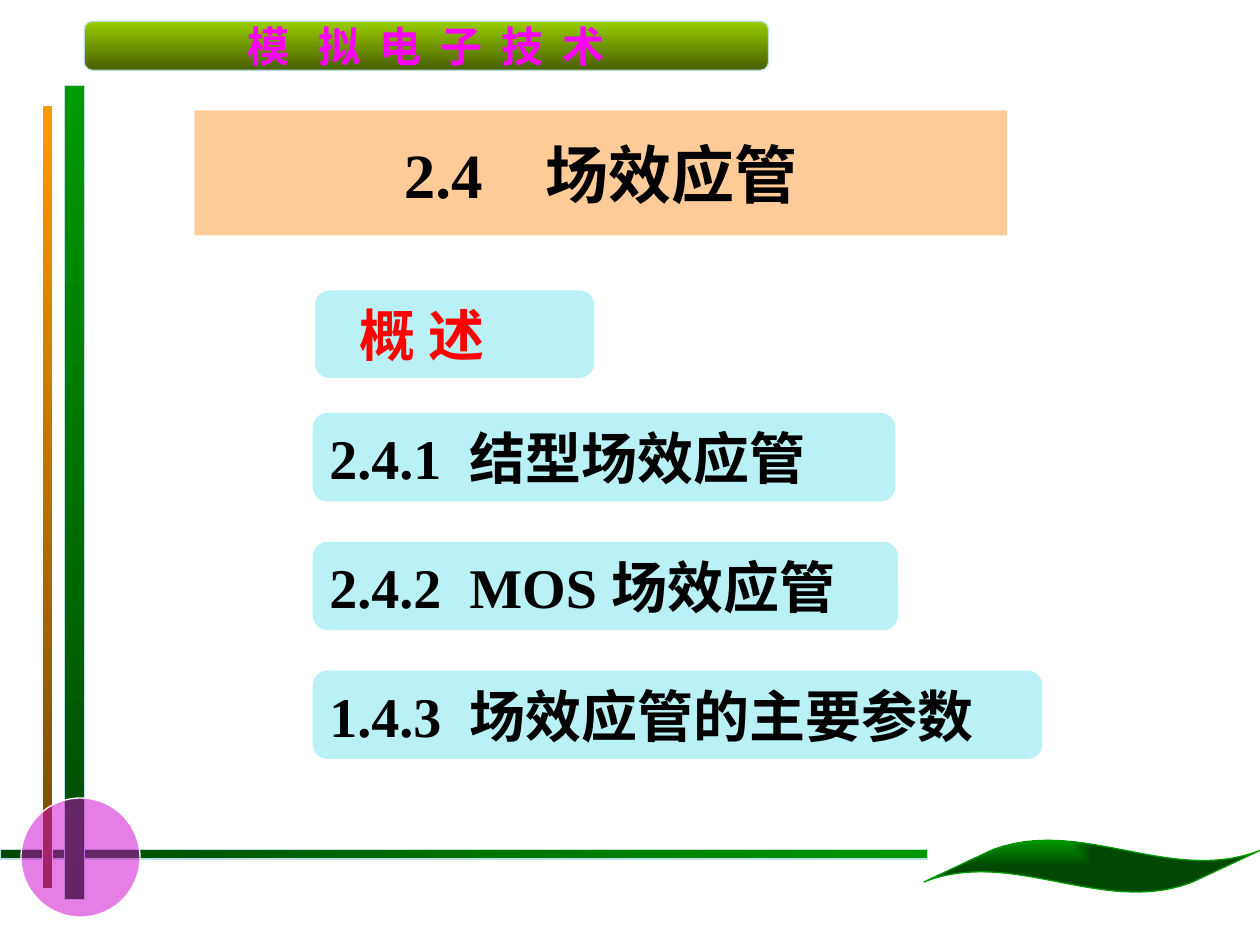
import pptx
import pptx.dml.color
import pptx.enum.shapes
import pptx.enum.text
import pptx.oxml.ns
import pptx.util
from lxml import etree

Pt = pptx.util.Pt
Kind = pptx.enum.shapes.MSO_SHAPE
Align = pptx.enum.text.PP_ALIGN
Anchor = pptx.enum.text.MSO_ANCHOR
qn = pptx.oxml.ns.qn

LATIN = "Times New Roman"
HAN = "Noto Sans CJK SC"
HEX = {
    "leaf": "009900", "forest": "004700", "amber": "FF9900", "brown": "764700",
    "lime": "99CC00", "moss": "475E00", "edge": "BBE0E3", "white": "FFFFFF",
    "plum": "CC00CC", "pink": "FF00FF", "peach": "FFCC99", "aqua": "75E5EB",
    "red": "FF0000", "black": "000000",
}


def tint(name):
    return pptx.dml.color.RGBColor.from_string(HEX[name])


def place(shape, box):
    shape.left, shape.top, shape.width, shape.height = map(Pt, box)


def add(slide, kind, box, line=None, width=0.75):
    shape = slide.shapes.add_shape(kind, *map(Pt, box))
    shape.shadow.inherit = False
    if line:
        shape.line.color.rgb = tint(line)
        shape.line.width = Pt(width)
    else:
        shape.line.fill.background()
    return shape


def flat(shape, name, alpha=100):
    """Fill with one colour at alpha percent opacity."""
    shape.fill.solid()
    shape.fill.fore_color.rgb = tint(name)
    if alpha < 100:
        node = shape.fill._xPr.find(".//" + qn("a:srgbClr"))
        etree.SubElement(node, qn("a:alpha"), val=str(alpha * 1000))


def fade(shape, first, last, angle=270):
    """Fill with a linear blend; 270 runs downward, 0 to the right."""
    shape.fill.gradient()
    shape.fill.gradient_angle = angle
    for stop, name, spot in zip(shape.fill.gradient_stops, (first, last), (0, 1)):
        stop.color.rgb = tint(name)
        stop.position = spot


def corner(shape):
    """Make the blend spread from the top left corner."""
    grad = shape._element.spPr.find(qn("a:gradFill"))
    grad.remove(grad.find(qn("a:lin")))
    glow = etree.SubElement(grad, qn("a:path"), path="rect")
    etree.SubElement(glow, qn("a:fillToRect"), r="100000", b="100000")


def write(shape, text, size, color, latin=LATIN, align=Align.LEFT, anchor=Anchor.TOP):
    frame = shape.text_frame
    frame.text = text
    frame.vertical_anchor = anchor
    para = frame.paragraphs[0]
    para.alignment = align
    run = para.runs[0]
    run.font.size = Pt(size)
    run.font.bold = True
    run.font.name = latin
    run.font.color.rgb = tint(color)
    etree.SubElement(run.font._element, qn("a:ea"), typeface=HAN)


def frame_art(slide):
    """Draw the bars, disc, banner and leaf around the content."""
    bars = [
        ((0, 485.5, 530, 5.5), "forest", "leaf", 0, "edge", 0.75),
        ((37, 49, 11.5, 465), "leaf", "forest", 270, "edge", 0.75),
        ((24, 60, 6, 448), "amber", "brown", 270, "white", 0.5),
    ]
    for box, first, last, angle, line, width in bars:
        fade(add(slide, Kind.RECTANGLE, box, line, width), first, last, angle)

    disc = add(slide, Kind.OVAL, (12, 456, 68, 68), "white")
    flat(disc, "plum", 50)

    banner = add(slide, Kind.FLOWCHART_ALTERNATE_PROCESS, (48.2, 12.2, 391, 28), "edge")
    fade(banner, "lime", "moss")
    write(banner, "模   拟  电  子  技  术", 24, "pink", HAN, Align.CENTER, Anchor.MIDDLE)
    banner.text_frame.word_wrap = False

    leaf = add(slide, Kind.WAVE, (528, 480, 192, 30), "leaf")
    leaf.adjustments[0] = 0.21
    leaf.adjustments[1] = -0.1
    fade(leaf, "leaf", "forest")
    corner(leaf)


def head(slide, text):
    """Turn the title placeholder into the peach oval."""
    title = slide.shapes.title
    place(title, (111, 63, 464.5, 71.5))
    form = etree.SubElement(title._element.spPr, qn("a:prstGeom"), prst="ellipse")
    etree.SubElement(form, qn("a:avLst"))
    flat(title, "peach")
    write(title, text, 36, "black", align=Align.CENTER, anchor=Anchor.MIDDLE)
    title.text_frame.auto_size = pptx.enum.text.MSO_AUTO_SIZE.NONE


def card(slide, text, box, color="black", inset=7.2):
    shape = add(slide, Kind.ROUNDED_RECTANGLE, box)
    flat(shape, "aqua", 50)
    write(shape, text, 32, color)
    shape.text_frame.margin_left = Pt(inset)


def main():
    deck = pptx.Presentation()
    deck.slide_width, deck.slide_height = Pt(720), Pt(540)
    slide = deck.slides.add_slide(deck.slide_layouts[5])
    frame_art(slide)
    head(slide, "2.4　场效应管")
    card(slide, "概 述", (180, 166, 159.5, 50), "red", 23.2)
    topics = [
        ("2.4.1  结型场效应管", 333),
        ("2.4.2  MOS 场效应管", 334.5),
        ("1.4.3  场效应管的主要参数", 417),
    ]
    for row, (text, width) in enumerate(topics):
        card(slide, text, (178.7, 236 + 73.6 * row, width, 50.5))
    deck.save("out.pptx")


if __name__ == "__main__":
    main()
